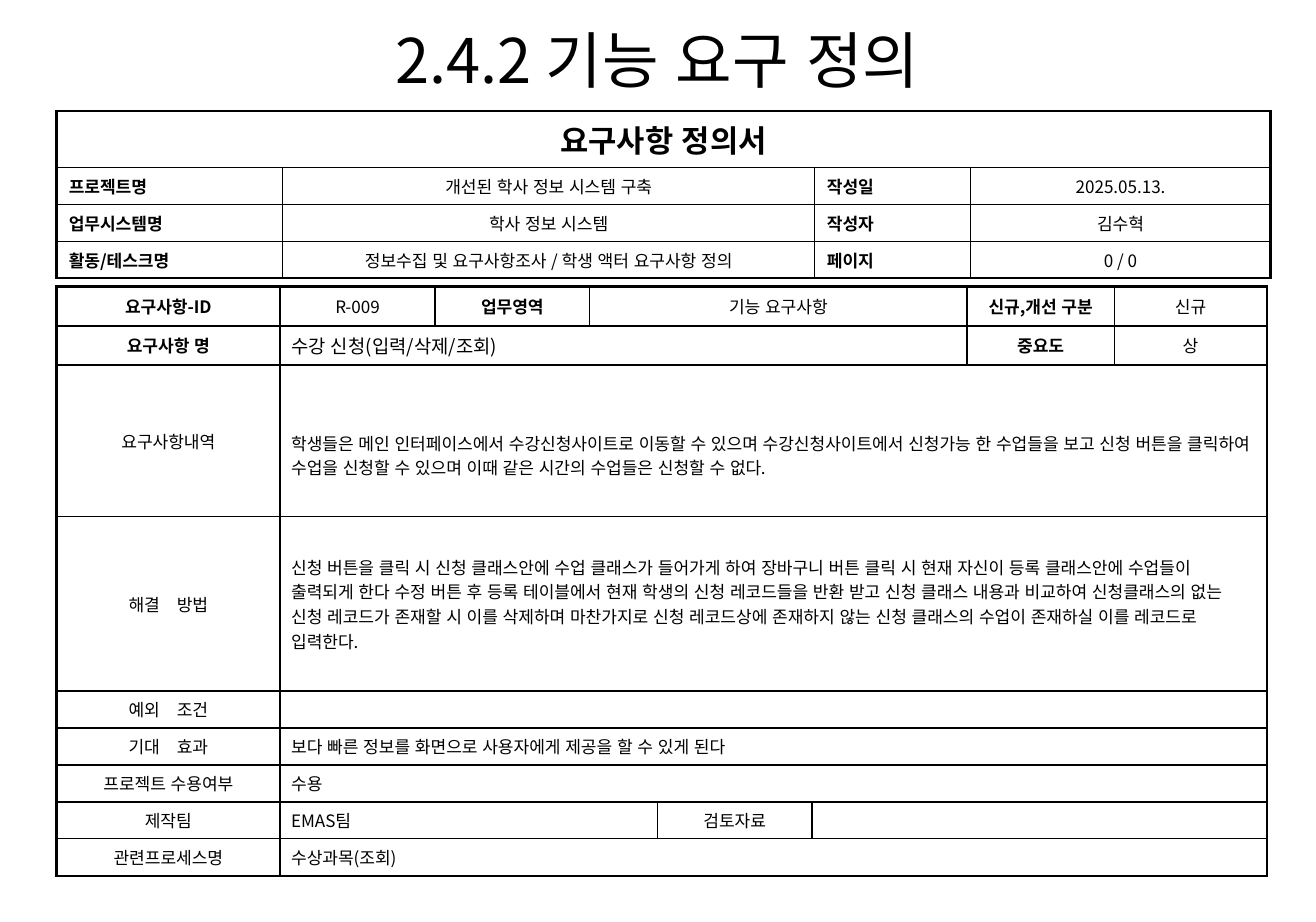
from lxml.etree import SubElement
from pptx import Presentation
from pptx.dml.color import RGBColor
from pptx.enum.lang import MSO_LANGUAGE_ID
from pptx.enum.text import MSO_ANCHOR, PP_ALIGN
from pptx.oxml.ns import qn
from pptx.util import Inches, Pt

# Content: each cell is (text, role, columns spanned)
TITLE = "2.4.2 기능 요구 정의"
SUMMARY = {
    "top": 0.9, "inset": 0.1,
    "columns": [1.84, 4.33, 1.27, 2.44],
    "heights": [0.43] + [0.26] * 3,
    "heavy_rules": {0, 4},
    "rows": [
        [("요구사항 정의서", "heading", 4)],
        [("프로젝트명", "field", 1), ("개선된 학사 정보 시스템 구축", "value", 1),
         ("작성일", "field", 1), ("2025.05.13.", "value", 1)],
        [("업무시스템명", "field", 1), ("학사 정보 시스템", "value", 1),
         ("작성자", "field", 1), ("김수혁", "value", 1)],
        [("활동/테스크명", "field", 1),
         ("정보수집 및 요구사항조사 / 학생 액터 요구사항 정의", "value", 1),
         ("페이지", "field", 1), ("0 / 0", "value", 1)],
    ],
}
REQUIREMENT = {
    "top": 2.33, "inset": 0.09,
    "columns": [1.82, 1.26, 1.26, 0.55, 1.26, 1.26, 1.2, 1.24],
    "heights": [0.32, 0.32, 1.23, 1.42] + [0.25] * 5,
    "heavy_rules": {0, 1, 2, 9},
    "rows": [
        [("요구사항-ID", "label", 1), ("R-009", "value", 1),
         ("업무영역", "label", 1), ("기능 요구사항", "value", 3),
         ("신규,개선 구분", "label", 1), ("신규", "value", 1)],
        [("요구사항 명", "label", 1), ("수강 신청(입력/삭제/조회)", "name", 5),
         ("중요도", "label", 1), ("상", "value", 1)],
        [("요구사항내역", "value", 1),
         ("학생들은 메인 인터페이스에서 수강신청사이트로 이동할 수 있으며 "
          "수강신청사이트에서 신청가능 한 수업들을 보고 신청 버튼을 클릭하여 "
          "수업을 신청할 수 있으며 이때 같은 시간의 수업들은 신청할 수 없다.",
          "lowered", 7)],
        [("해결　방법", "value", 1),
         ("신청 버튼을 클릭 시 신청 클래스안에 수업 클래스가 들어가게 하여 "
          "장바구니 버튼 클릭 시 현재 자신이 등록 클래스안에 수업들이 "
          "출력되게 한다 수정 버튼 후 등록 테이블에서 현재 학생의 신청 "
          "레코드들을 반환 받고 신청 클래스 내용과 비교하여 신청클래스의 없는 "
          "신청 레코드가 존재할 시 이를 삭제하며 마찬가지로 신청 레코드상에 "
          "존재하지 않는 신청 클래스의 수업이 존재하실 이를 레코드로 입력한다.",
          "body", 7)],
        [("예외　조건", "value", 1), ("", "body", 7)],
        [("기대　효과", "value", 1),
         ("보다 빠른 정보를 화면으로 사용자에게 제공을 할 수 있게 된다", "body", 7)],
        [("프로젝트 수용여부", "value", 1), ("수용", "body", 7)],
        [("제작팀", "value", 1), ("EMAS팀", "body", 3),
         ("검토자료", "value", 1), ("", "body", 3)],
        [("관련프로세스명", "value", 1), ("수상과목(조회)", "body", 7)],
    ],
}

THEME = {
    "font": "Noto Sans CJK KR",
    "ink": "000000",
    "thin": 1,
    "heavy": 1.5,
    "roles": {  # size, bold, alignment
        "title": (36, False, PP_ALIGN.CENTER),
        "heading": (18, True, PP_ALIGN.CENTER),
        "field": (10, True, PP_ALIGN.JUSTIFY),
        "label": (10, True, PP_ALIGN.CENTER),
        "value": (10, False, PP_ALIGN.CENTER),
        "name": (11, False, PP_ALIGN.LEFT),
        "body": (10, False, PP_ALIGN.LEFT),
        "lowered": (10, False, PP_ALIGN.LEFT),
    },
}
TABLE_LEFT = 0.46
LOWERED_INSET = 0.28


def write(frame, text, role):
    size, bold, alignment = THEME["roles"][role]
    para = frame.paragraphs[0]
    para.alignment = alignment
    font = para.font
    font.name, font.size, font.bold = THEME["font"], Pt(size), bold
    font.color.rgb = RGBColor.from_string(THEME["ink"])
    font.language_id = MSO_LANGUAGE_ID.KOREAN
    SubElement(font._element, qn("a:ea"), typeface=THEME["font"])
    if text:
        para.add_run().text = text
    else:  # an empty cell still needs its type size
        SubElement(para._p, qn("a:endParaRPr"), sz=str(size * 100))


def draw_borders(cell, widths):
    properties = cell._tc.get_or_add_tcPr()
    for side, width in zip("LRTB", widths):
        line = SubElement(properties, qn(f"a:ln{side}"), w=str(Pt(width)))
        fill = SubElement(line, qn("a:solidFill"))
        SubElement(fill, qn("a:srgbClr"), val=THEME["ink"])
    cell.fill.background()


def add_form(page, form):
    columns, heights = form["columns"], form["heights"]
    table = page.shapes.add_table(
        len(heights), len(columns), Inches(TABLE_LEFT), Inches(form["top"]),
        Inches(sum(columns)), Inches(sum(heights))).table
    table.first_row = table.horz_banding = False
    for column, width in zip(table.columns, columns):
        column.width = Inches(width)
    for row, height in zip(table.rows, heights):
        row.height = Inches(height)

    def weight(is_heavy):
        return THEME["heavy" if is_heavy else "thin"]

    for row, entries in enumerate(form["rows"]):
        start = 0
        for text, role, span in entries:
            end = start + span
            cell = table.cell(row, start)
            if span > 1:
                cell.merge(table.cell(row, end - 1))
            cell.vertical_anchor = MSO_ANCHOR.MIDDLE
            cell.margin_left = cell.margin_right = Inches(form["inset"])
            cell.margin_top = Inches(LOWERED_INSET if role == "lowered" else 0.05)
            cell.margin_bottom = Inches(0.05)
            write(cell.text_frame, text, role)
            widths = [weight(start == 0), weight(end == len(columns)),
                      weight(row in form["heavy_rules"]),
                      weight(row + 1 in form["heavy_rules"])]
            for column in range(start, end):
                draw_borders(table.cell(row, column), widths)
            start = end


deck = Presentation()
deck.slide_width, deck.slide_height = Inches(10.71), Inches(7.5)
page = deck.slides.add_slide(deck.slide_layouts[6])

# Forms
for form in (SUMMARY, REQUIREMENT):
    add_form(page, form)

# Slide title
box = page.shapes.add_textbox(Inches(1.79), Inches(0.07), Inches(7.12), Inches(1.44))
box.text_frame.word_wrap = True
write(box.text_frame, TITLE, "title")
box.text_frame.paragraphs[0].line_spacing = 1.1

deck.save("out.pptx")
